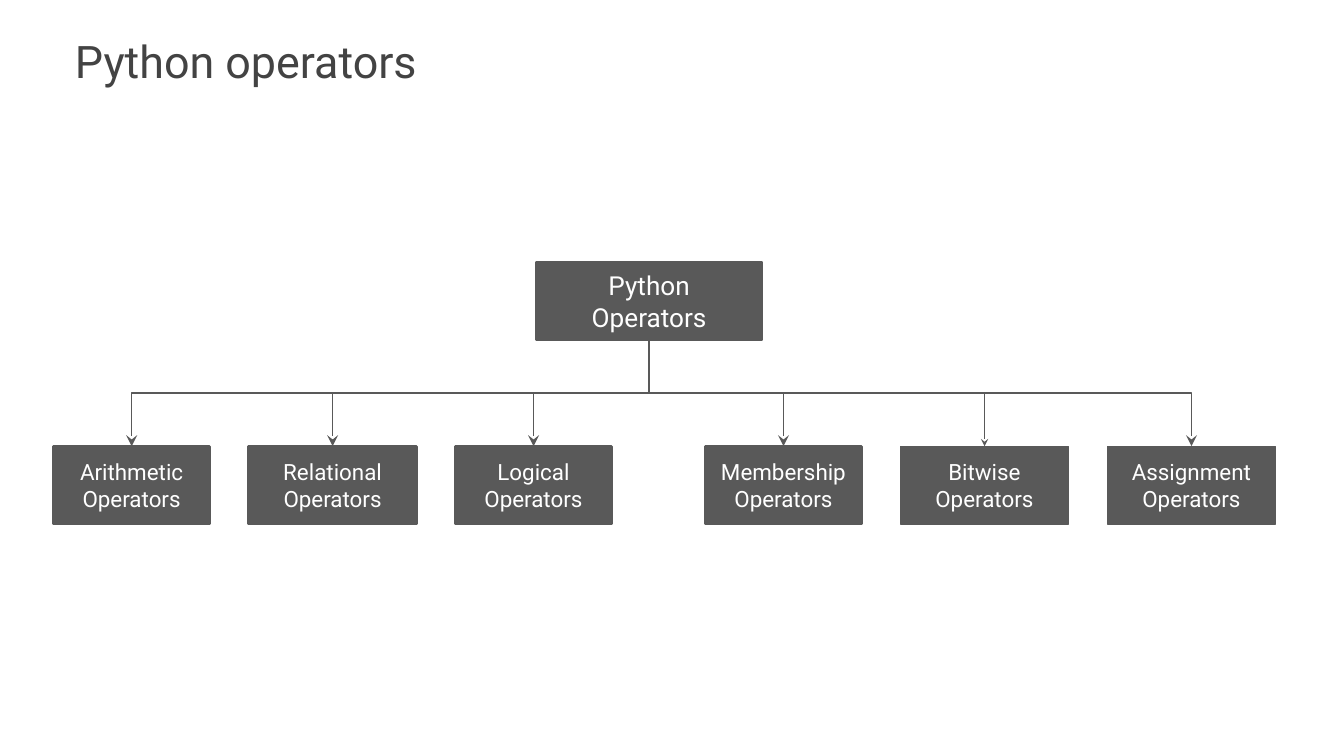
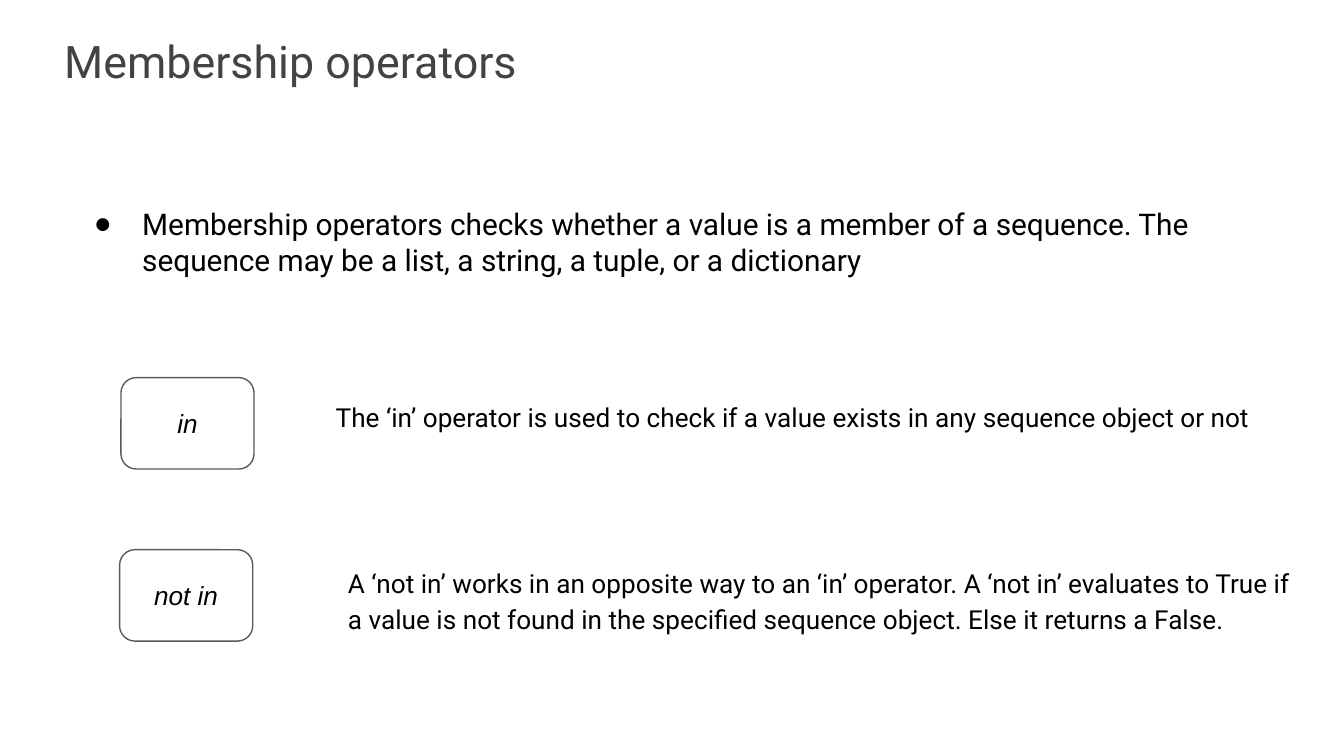
import pptx
import pptx.dml.color
import pptx.enum.shapes
import pptx.enum.text
import pptx.oxml.ns
import pptx.util
from lxml import etree

Inches = pptx.util.Inches
RGBColor = pptx.dml.color.RGBColor
SHAPE = pptx.enum.shapes.MSO_SHAPE
qn = pptx.oxml.ns.qn

TITLE_GRAY = RGBColor(0x43, 0x43, 0x43)
DARK_GRAY = RGBColor(0x59, 0x59, 0x59)
BLACK = RGBColor(0, 0, 0)
WHITE = RGBColor(0xFF, 0xFF, 0xFF)

# Widescreen deck, 16:9
deck = pptx.Presentation()
deck.slide_width = Inches(10)
deck.slide_height = Inches(10) * 9 // 16
blank = deck.slide_layouts[6]


def add_text(page, frame, text, size, color=BLACK, font="Roboto", box=None):
    """Write text into the given box, or into a new text box."""
    if box is None:
        box = page.shapes.add_textbox(*map(Inches, frame))
    text_frame = box.text_frame
    text_frame.word_wrap = True
    text_frame.margin_left = text_frame.margin_right = Inches(0.1)
    text_frame.margin_top = text_frame.margin_bottom = Inches(0.1)
    text_frame.text = text
    para = text_frame.paragraphs[0]
    for span in para.runs:
        span.font.name = font
        span.font.size = pptx.util.Pt(size)
        span.font.color.rgb = color
    return para


def add_box(page, kind, frame, text, size, fill, line_width, color, font="Roboto"):
    """Add an outlined shape with centred text."""
    box = page.shapes.add_shape(kind, *map(Inches, frame))
    box.shadow.inherit = False
    box.fill.solid()
    box.fill.fore_color.rgb = fill
    box.line.color.rgb = DARK_GRAY
    box.line.width = pptx.util.Pt(line_width)
    para = add_text(page, frame, text, size, color, font, box)
    para.alignment = pptx.enum.text.PP_ALIGN.CENTER
    box.text_frame.vertical_anchor = pptx.enum.text.MSO_ANCHOR.MIDDLE
    return box


# Pages and their titles
pages = []
for title, left in [("Python operators", 0.46), ("Membership operators", 0.38)]:
    page = deck.slides.add_slide(blank)
    add_text(page, (left, 0.15, 8.43, 0.58), title, 24, TITLE_GRAY)
    pages.append(page)
tree_page, membership_page = pages

# Operator tree: root box
box_height = 0.58
root_top, leaf_top = 1.95, 3.32
root = add_box(tree_page, SHAPE.RECTANGLE, (3.99, root_top, 1.68, box_height),
               "Python Operators", 14, DARK_GRAY, 1.5, WHITE)
root_x = root.left + root.width // 2
root_bottom = root.top + root.height
drop = Inches(leaf_top) - root_bottom

# Operator tree: one box and one arrow per family
families = [  # name, left, width, outline, arrowhead size
    ("Arithmetic", 0.4, 1.16, 1.5, "med"),
    ("Relational", 1.85, 1.25, 1.5, "med"),
    ("Logical", 3.39, 1.16, 1.5, "med"),
    ("Membership", 5.25, 1.16, 1.5, "med"),
    ("Bitwise", 6.7, 1.25, 0.75, "sm"),
    ("Assignment", 8.24, 1.25, 0.75, "med"),
]
for name, left, width, outline, head_size in families:
    leaf = add_box(tree_page, SHAPE.RECTANGLE, (left, leaf_top, width, box_height),
                   f"{name} Operators", 12, DARK_GRAY, outline, WHITE)
    leaf_x = leaf.left + leaf.width // 2
    arrow = tree_page.shapes.add_connector(
        pptx.enum.shapes.MSO_CONNECTOR.ELBOW, root_x, root_bottom, leaf_x, leaf.top)
    arrow.begin_connect(root, 2)
    arrow.end_connect(leaf, 0)
    arrow.line.color.rgb = DARK_GRAY
    arrow.line.width = pptx.util.Pt(0.75)

    # A quarter turn makes the elbow leave downwards
    span_x = abs(leaf_x - root_x)
    arrow.left = (root_x + leaf_x - drop) // 2
    arrow.top = (root_bottom + leaf.top - span_x) // 2
    arrow.width, arrow.height = drop, span_x
    goes_right = leaf_x > root_x
    properties = arrow._element.spPr
    placement = properties.find(qn("a:xfrm"))
    placement.set("rot", str((270 if goes_right else 90) * 60000))
    placement.set("flipH", "1" if goes_right else "0")
    placement.set("flipV", "0")
    etree.SubElement(properties.find(qn("a:ln")), qn("a:tailEnd"),
                     type="stealth", w=head_size, len=head_size)
    etree.SubElement(properties, qn("a:effectLst"))

# Membership operators: bulleted definition
para = add_text(
    membership_page, (0.46, 1.43, 9.19, 0.68),
    "Membership operators checks whether a value is a member of a sequence. "
    "The sequence may be a list, a string, a tuple, or a dictionary", 16)
bullet = para._p.get_or_add_pPr()
bullet.set("marL", str(Inches(0.5)))
bullet.set("indent", str(Inches(-0.36)))
bullet_color = etree.SubElement(bullet, qn("a:buClr"))
etree.SubElement(bullet_color, qn("a:srgbClr"), val=str(BLACK))
etree.SubElement(bullet, qn("a:buFont"), typeface="Arial")
etree.SubElement(bullet, qn("a:buChar"), char="●")

# Membership operators: keyword boxes with explanations
keywords = [
    ("in", (0.9, 2.81, 0.99, 0.68), (2.4, 2.85, 7.27, 0.58),
     "The ‘in’ operator is used to check if a value exists in any sequence object or not"),
    ("not in", (0.89, 4.09, 0.99, 0.68), (2.49, 4.09, 7.27, 0.68),
     "A ‘not in’ works in an opposite way to an ‘in’ operator. "
     "A ‘not in’ evaluates to True if a value is not found in the specified "
     "sequence object. Else it returns a False."),
]
for keyword, box_frame, text_area, explanation in keywords:
    box = add_box(membership_page, SHAPE.ROUNDED_RECTANGLE, box_frame,
                  keyword, 14, WHITE, 0.75, BLACK, "Arial")
    box.text_frame.paragraphs[0].runs[0].font.italic = True
    para = add_text(membership_page, text_area, explanation, 14)
    para.line_spacing = 1.15

deck.save("out.pptx")
